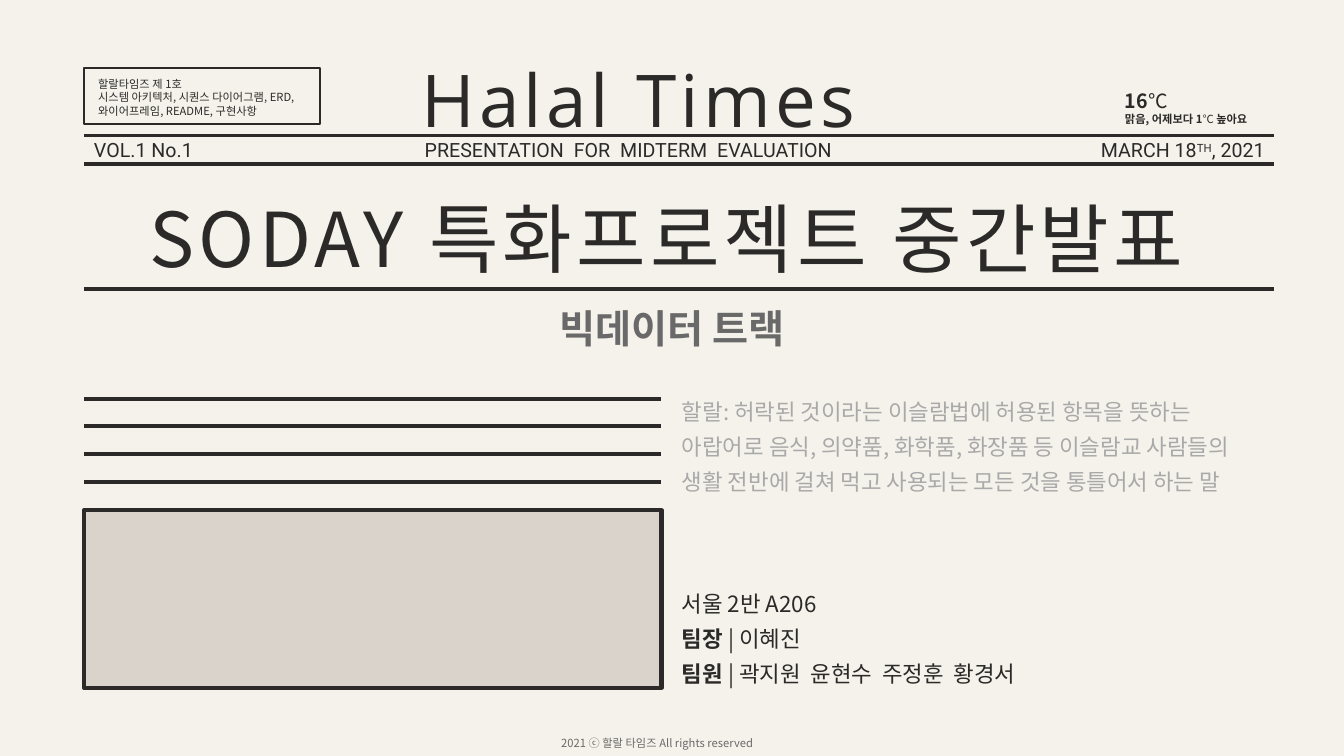
from dataclasses import dataclass, replace
from typing import Optional

from lxml import etree
from pptx import Presentation
from pptx import util as u
from pptx.dml.color import RGBColor
from pptx.enum import shapes, text
from pptx.oxml import ns

PX = 9525  # EMU in one px, 96 px to the inch
COLORS = {
    "paper": "F4F2EA",
    "ink": "2B2A29",
    "gray": "6A6969",
    "pale": "AAA9A9",
    "panel": "DAD3CB",
}
NOTO, ROBOTO, OPEN = "Noto Sans CJK KR", "Roboto", "Open Sans"
LEFT, RIGHT, COLUMN_RIGHT = 80, 1213, 630
AL = text.PP_ALIGN


@dataclass(frozen=True)
class Run:
    text: str
    size: int = 16
    font: str = NOTO
    color: str = "ink"
    bold: bool = False
    spacing: float = 0
    raised: bool = False
    outline: float = 0


@dataclass(frozen=True)
class Block:
    x: int
    y: int
    w: int
    h: int
    paragraphs: list[list[Run]]
    align: Optional[AL] = None
    wrap: bool = False
    line_spacing: Optional[float] = None


@dataclass(frozen=True)
class Rule:
    y: int
    right: int


@dataclass(frozen=True)
class Frame:
    x: int
    y: int
    w: int
    h: int
    line: float
    fill: Optional[str] = None


def px(n: int) -> u.Emu:
    return u.Emu(n * PX)


def rgb(name: str) -> RGBColor:
    return RGBColor.from_string(COLORS[name])


def wide_words(run: Run, gap: float = 3.5) -> list[Run]:
    """Split a run into words, with broader spaces between them."""
    first, *rest = run.text.split(" ")
    runs = [replace(run, text=first)]
    for word in rest:
        runs += [replace(run, text=" ", spacing=gap), replace(run, text=word)]
    return runs


def add_run(p, run: Run) -> None:
    r = p.add_run()
    r.text = run.text
    r.font.size = u.Pt(run.size)
    r.font.bold = run.bold
    r.font.name = run.font
    r.font.color.rgb = rgb(run.color)
    rPr = r._r.get_or_add_rPr()
    etree.SubElement(rPr, ns.qn("a:ea"), typeface=run.font)
    if run.spacing:
        rPr.set("spc", str(round(run.spacing * 100)))
    if run.raised:
        rPr.set("baseline", "30000")
    if run.outline:
        ln = etree.Element(ns.qn("a:ln"), w=str(int(u.Pt(run.outline))))
        fill = etree.SubElement(ln, ns.qn("a:solidFill"))
        etree.SubElement(fill, ns.qn("a:srgbClr"), val=COLORS[run.color])
        rPr.insert(0, ln)


def add_block(s, b: Block) -> None:
    sp = s.shapes.add_textbox(px(b.x), px(b.y), px(b.w), px(b.h))
    tf = sp.text_frame
    tf.word_wrap = b.wrap
    tf.auto_size = text.MSO_AUTO_SIZE.SHAPE_TO_FIT_TEXT
    for i, runs in enumerate(b.paragraphs):
        p = tf.add_paragraph() if i else tf.paragraphs[0]
        p.alignment = b.align
        p.line_spacing = b.line_spacing
        for run in runs:
            add_run(p, run)


def add_rule(s, rule: Rule) -> None:
    c = s.shapes.add_connector(
        shapes.MSO_CONNECTOR.STRAIGHT, px(LEFT), px(rule.y), px(rule.right), px(rule.y)
    )
    c.line.color.rgb = rgb("ink")
    c.line.width = u.Pt(2.75)
    etree.SubElement(c._element.spPr, ns.qn("a:effectLst"))


def add_frame(s, f: Frame) -> None:
    sp = s.shapes.add_shape(
        shapes.MSO_SHAPE.RECTANGLE, px(f.x), px(f.y), px(f.w), px(f.h)
    )
    sp.shadow.inherit = False
    if f.fill:
        sp.fill.solid()
        sp.fill.fore_color.rgb = rgb(f.fill)
    else:
        sp.fill.background()
    sp.line.color.rgb = rgb("ink")
    sp.line.width = u.Pt(f.line)


# Full-width rules, then four evenly spaced rules over the panel
RULES = [Rule(y, RIGHT) for y in (129, 156, 275)]
RULES += [Rule(380 + i * 79 // 3, COLUMN_RIGHT) for i in range(4)]

FRAMES = [Frame(LEFT, 486, 550, 169, 3, "panel"), Frame(LEFT, 65, 225, 53, 1.5)]

STRIP = Run("", 14, ROBOTO)
SMALL = Run("", 8)
BODY = Run("")
LABEL = Run("", bold=True)

BLOCKS = [
    # Masthead
    Block(392, 47, 497, 97, [[Run("Halal Times", 52, OPEN, spacing=3, outline=1.5)]]),
    Block(84, 69, 221, 48, [
        [replace(SMALL, text=line)]
        for line in (
            "할랄타임즈 제 1호",
            "시스템 아키텍처, 시퀀스 다이어그램, ERD,",
            "와이어프레임, README, 구현사항",
        )
    ], AL.JUSTIFY),
    Block(1062, 80, 152, 47, [
        [Run("16", 14, bold=True), Run("℃", 14)],
        [
            Run("맑음, 어제보다 1", 8, bold=True),
            Run("℃ ", 8),
            Run("높아요", 8, bold=True),
        ],
    ], wrap=True),
    # Issue strip
    Block(LEFT, 127, 116, 33, [[replace(STRIP, text="VOL.1 No.1")]]),
    Block(395, 127, 417, 33, [
        wide_words(replace(STRIP, text="PRESENTATION FOR MIDTERM EVALUATION"))
    ]),
    Block(1033, 127, 181, 33, [[
        replace(STRIP, text="MARCH 18"),
        replace(STRIP, text="TH", raised=True),
        replace(STRIP, text=", 2021"),
    ]], AL.RIGHT),
    # Headline
    Block(LEFT, 178, 1110, 97, [
        [Run("SODAY 특화프로젝트 중간발표", 54, spacing=3)]
    ], AL.CENTER),
    Block(320, 285, 640, 55, [
        [Run("빅데이터 트랙", 28, color="gray", bold=True)]
    ], AL.CENTER, wrap=True),
    # Definition and team
    Block(640, 367, 574, 108, [[Run(
        "할랄: 허락된 것이라는 이슬람법에 허용된 항목을 뜻하는 아랍어로 음식, 의약품, "
        "화학품, 화장품 등 이슬람교 사람들의 생활 전반에 걸쳐 먹고 사용되는 모든 것을 "
        "통틀어서 하는 말",
        color="pale",
    )]], wrap=True, line_spacing=1.3),
    Block(640, 550, 550, 108, [
        [replace(BODY, text="서울 2반 A206")],
        [replace(LABEL, text="팀장 "), replace(BODY, text="| 이혜진")],
        [
            replace(LABEL, text="팀원 "),
            replace(BODY, text="| "),
            *wide_words(replace(BODY, text="곽지원 윤현수 주정훈 황경서")),
        ],
    ], wrap=True, line_spacing=1.3),
    # Footer
    Block(525, 697, 228, 23, [
        [Run("2021 ⓒ 할랄 타임즈 All rights reserved", 8, color="gray")]
    ]),
]


def main() -> None:
    prs = Presentation()
    prs.slide_width, prs.slide_height = px(1280), px(720)
    s = prs.slides.add_slide(prs.slide_layouts[6])
    s.background.fill.solid()
    s.background.fill.fore_color.rgb = rgb("paper")
    for frame in FRAMES:
        add_frame(s, frame)
    for rule in RULES:
        add_rule(s, rule)
    for block in BLOCKS:
        add_block(s, block)
    prs.save("out.pptx")


if __name__ == "__main__":
    main()
